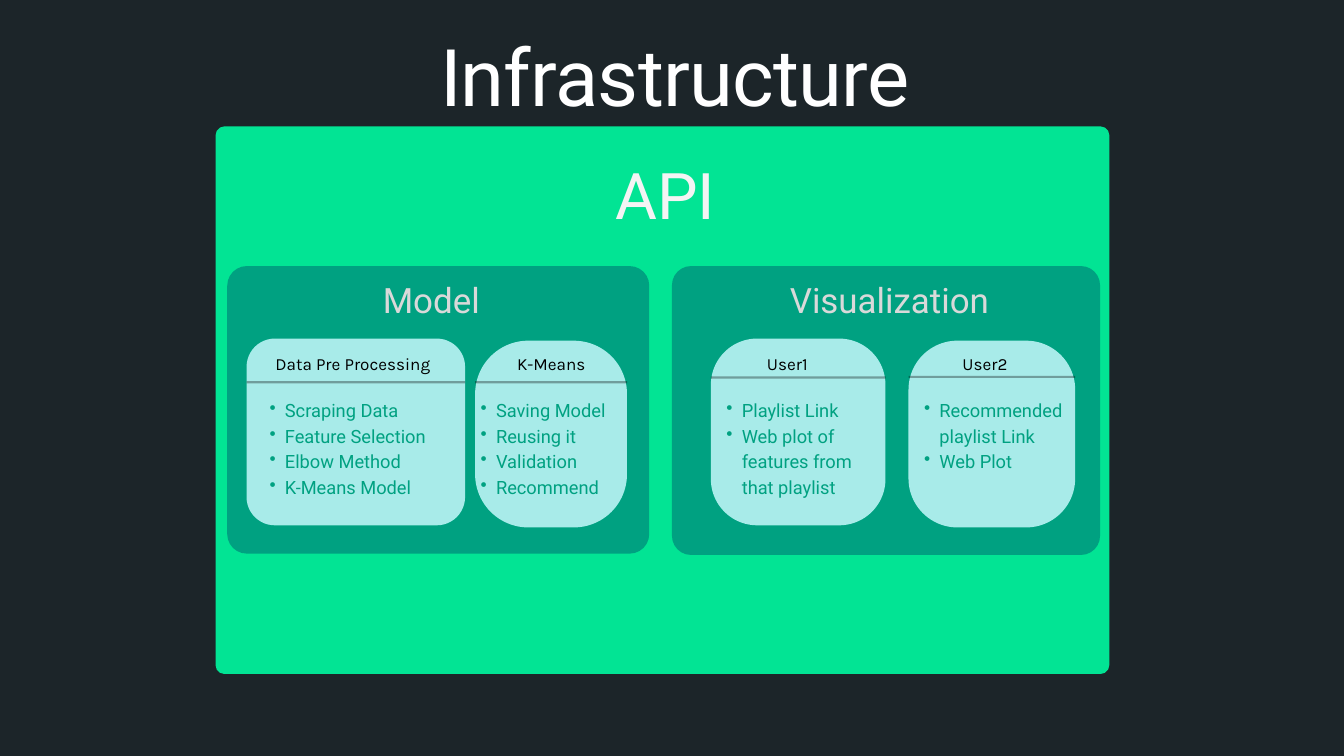
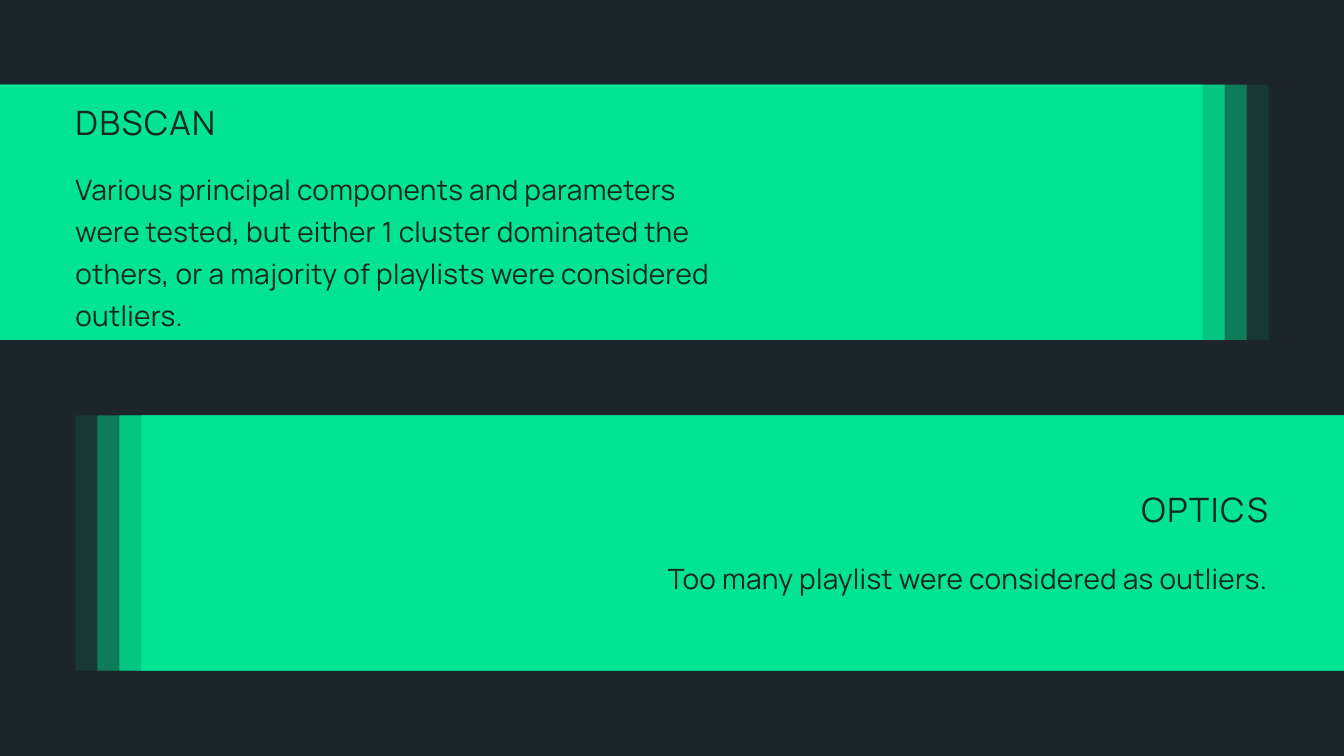
from dataclasses import dataclass

from lxml.etree import SubElement
from pptx import Presentation
from pptx.dml.color import RGBColor
from pptx.enum.shapes import MSO_CONNECTOR, MSO_SHAPE
from pptx.enum.text import MSO_ANCHOR, MSO_AUTO_SIZE, PP_ALIGN
from pptx.oxml.ns import qn
from pptx.util import Cm, Pt

BACKGROUND = "1C2529"
GREEN = "02E494"
TEAL = "00A181"
PALE = "A8EBE9"
BLACK = "000000"
INK = "182722"

CARD_HEIGHT = 7.06
HEADING_WIDTH = 6.45
BAND_WIDTH = 49.68
BAND_HEIGHT = 9.65
BAND_STEP = 0.83
BAND_OPACITIES = (10, 40, 70, 100)


@dataclass(frozen=True)
class Style:
    font: str
    size: float
    color: str
    leading: float
    align: PP_ALIGN = PP_ALIGN.CENTER
    spacing: float = 0
    bullet: bool = False


@dataclass(frozen=True)
class Box:
    left: float
    top: float
    width: float
    height: float

    def lengths(self) -> tuple:
        return Cm(self.left), Cm(self.top), Cm(self.width), Cm(self.height)


@dataclass(frozen=True)
class Panel:
    box: Box
    radius: float
    fill: str
    title: str
    title_box: Box
    style: Style


@dataclass(frozen=True)
class Card:
    left: float
    top: float
    width: float
    radius: float
    heading: str
    heading_center: float
    rule_top: float
    list_left: float
    list_width: float
    items: tuple


@dataclass(frozen=True)
class Band:
    left: float
    top: float
    step: float
    text_left: float
    text_width: float
    heading: str
    heading_top: float
    body: str
    body_top: float
    align: PP_ALIGN


TITLE = Style("Roboto", 85.1, "FFFFFF", 102.1, spacing=-0.8)
API_TITLE = Style("Roboto", 68.9, "F4F4F4", 96.5)
PANEL_TITLE = Style("Roboto", 37.4, "D9D9D9", 52.3)
CARD_HEADING = Style("Karla", 18.3, BLACK, 25.6)
CARD_LIST = Style("Roboto", 19.6, TEAL, 27.4, PP_ALIGN.LEFT, bullet=True)

PANELS = (
    Panel(Box(8.15, 4.78, 33.78, 20.7), 0.33, GREEN,
          "API", Box(19.89, 5.38, 10.52, 3.45), API_TITLE),
    Panel(Box(8.59, 10.06, 15.95, 10.87), 0.74, TEAL,
          "Model", Box(13.89, 10.29, 4.83, 1.88), PANEL_TITLE),
    Panel(Box(25.4, 10.06, 16.18, 10.92), 0.72, TEAL,
          "Visualization", Box(29.41, 10.29, 8.43, 1.88), PANEL_TITLE),
)

CARDS = (
    Card(9.32, 12.8, 8.26, 1.07, "Data Pre Processing", 13.34, 14.45, 9.6, 8.05,
         ("Scraping Data", "Feature Selection", "Elbow Method", "K-Means Model")),
    Card(17.96, 12.88, 5.74, 2.01, "K-Means", 20.84, 14.45, 17.58, 5.74,
         ("Saving Model", "Reusing it", "Validation", "Recommend")),
    Card(26.87, 12.8, 6.6, 1.75, "User1", 29.76, 14.27, 26.87, 6.22,
         ("Playlist Link", "Web plot of features from that playlist")),
    Card(34.34, 12.88, 6.3, 1.85, "User2", 37.23, 14.25, 34.34, 6.3,
         ("Recommended playlist Link", "Web Plot")),
)

BANDS = (
    Band(-1.73, 3.2, -BAND_STEP, 2.85, 24.51, "DBSCAN", 3.84,
         "Various principal components and parameters were tested, but either 1 cluster "
         "dominated the others, or a majority of playlists were considered outliers.",
         6.22, PP_ALIGN.LEFT),
    Band(2.85, 15.7, BAND_STEP, 20.78, 27.15, "OPTICS", 18.49,
         "Too many playlist were considered as outliers.", 20.9, PP_ALIGN.RIGHT),
)


def rgb(color: str) -> RGBColor:
    return RGBColor.from_string(color)


def set_opacity(sp, percent: int) -> None:
    for color in sp._element.spPr.iter(qn("a:srgbClr")):
        SubElement(color, qn("a:alpha")).set("val", str(percent * 1000))


def write(tf, lines: tuple, style: Style) -> None:
    tf.word_wrap = True
    tf.auto_size = MSO_AUTO_SIZE.NONE
    tf.vertical_anchor = MSO_ANCHOR.TOP
    tf.margin_left = tf.margin_right = tf.margin_top = tf.margin_bottom = 0
    for i, line in enumerate(lines):
        p = tf.add_paragraph() if i else tf.paragraphs[0]
        p.text = line
        props = p._p.get_or_add_pPr()
        if style.bullet:
            props.set("marL", str(Cm(1.17)))
            props.set("indent", str(-Cm(0.58)))
            SubElement(props, qn("a:buChar")).set("char", "•")
        p.alignment = style.align
        p.line_spacing = Pt(style.leading)
        p.font.name = style.font
        p.font.size = Pt(style.size)
        p.font.color.rgb = rgb(style.color)
        if style.spacing:
            props.find(qn("a:defRPr")).set("spc", str(round(style.spacing * 100)))


def add_text(slide, box: Box, lines: tuple, style: Style) -> None:
    write(slide.shapes.add_textbox(*box.lengths()).text_frame, lines, style)


def add_block(slide, kind: MSO_SHAPE, box: Box, fill: str):
    sp = slide.shapes.add_shape(kind, *box.lengths())
    sp.shadow.inherit = False
    sp.fill.solid()
    sp.fill.fore_color.rgb = rgb(fill)
    sp.line.fill.background()
    return sp


def add_rounded(slide, box: Box, radius: float, fill: str) -> None:
    sp = add_block(slide, MSO_SHAPE.ROUNDED_RECTANGLE, box, fill)
    sp.adjustments[0] = radius / min(box.width, box.height)


def add_rule(slide, left: float, top: float, width: float) -> None:
    line = slide.shapes.add_connector(
        MSO_CONNECTOR.STRAIGHT, Cm(left), Cm(top), Cm(left + width), Cm(top))
    line.line.color.rgb = rgb(BLACK)
    line.line.width = Pt(2.25)
    set_opacity(line, 32)
    SubElement(line._element.spPr, qn("a:effectLst"))


def add_panel(slide, panel: Panel) -> None:
    add_rounded(slide, panel.box, panel.radius, panel.fill)
    add_text(slide, panel.title_box, (panel.title,), panel.style)


def add_card(slide, card: Card) -> None:
    add_rounded(slide, Box(card.left, card.top, card.width, CARD_HEIGHT), card.radius, PALE)
    add_rule(slide, card.left, card.rule_top, card.width)
    heading_left = card.heading_center - HEADING_WIDTH / 2
    add_text(slide, Box(heading_left, 13.23, HEADING_WIDTH, 0.84),
             (card.heading,), CARD_HEADING)
    add_text(slide, Box(card.list_left, 14.96, card.list_width, 3.86),
             card.items, CARD_LIST)


def add_band(slide, band: Band) -> None:
    for i, opacity in enumerate(BAND_OPACITIES):
        box = Box(band.left + i * band.step, band.top, BAND_WIDTH, BAND_HEIGHT)
        sp = add_block(slide, MSO_SHAPE.RECTANGLE, box, GREEN)
        if opacity < 100:
            set_opacity(sp, opacity)
    add_text(slide, Box(band.text_left, band.heading_top, band.text_width, 1.5),
             (band.heading,), Style("Manrope", 36, INK, 43.2, band.align, 1.8))
    body_height = band.top + BAND_HEIGHT - band.body_top
    add_text(slide, Box(band.text_left, band.body_top, band.text_width, body_height),
             (band.body,), Style("Manrope", 30, INK, 45, band.align, 0.3))


def add_infrastructure_slide(prs) -> None:
    slide = prs.slides.add_slide(prs.slide_layouts.get_by_name("Title Only"))
    title = slide.shapes.title
    box = Box(8.7, 1.04, 33.6, 3.63)
    title.left, title.top, title.width, title.height = box.lengths()
    write(title.text_frame, ("Infrastructure",), TITLE)
    for panel in PANELS:
        add_panel(slide, panel)
    for card in CARDS:
        add_card(slide, card)


def add_clustering_slide(prs) -> None:
    slide = prs.slides.add_slide(prs.slide_layouts.get_by_name("Blank"))
    for band in BANDS:
        add_band(slide, band)


def main() -> None:
    prs = Presentation()
    prs.slide_width, prs.slide_height = Cm(50.8), Cm(28.58)
    background = prs.slide_master.background.fill
    background.solid()
    background.fore_color.rgb = rgb(BACKGROUND)
    add_infrastructure_slide(prs)
    add_clustering_slide(prs)
    prs.save("out.pptx")


if __name__ == "__main__":
    main()
